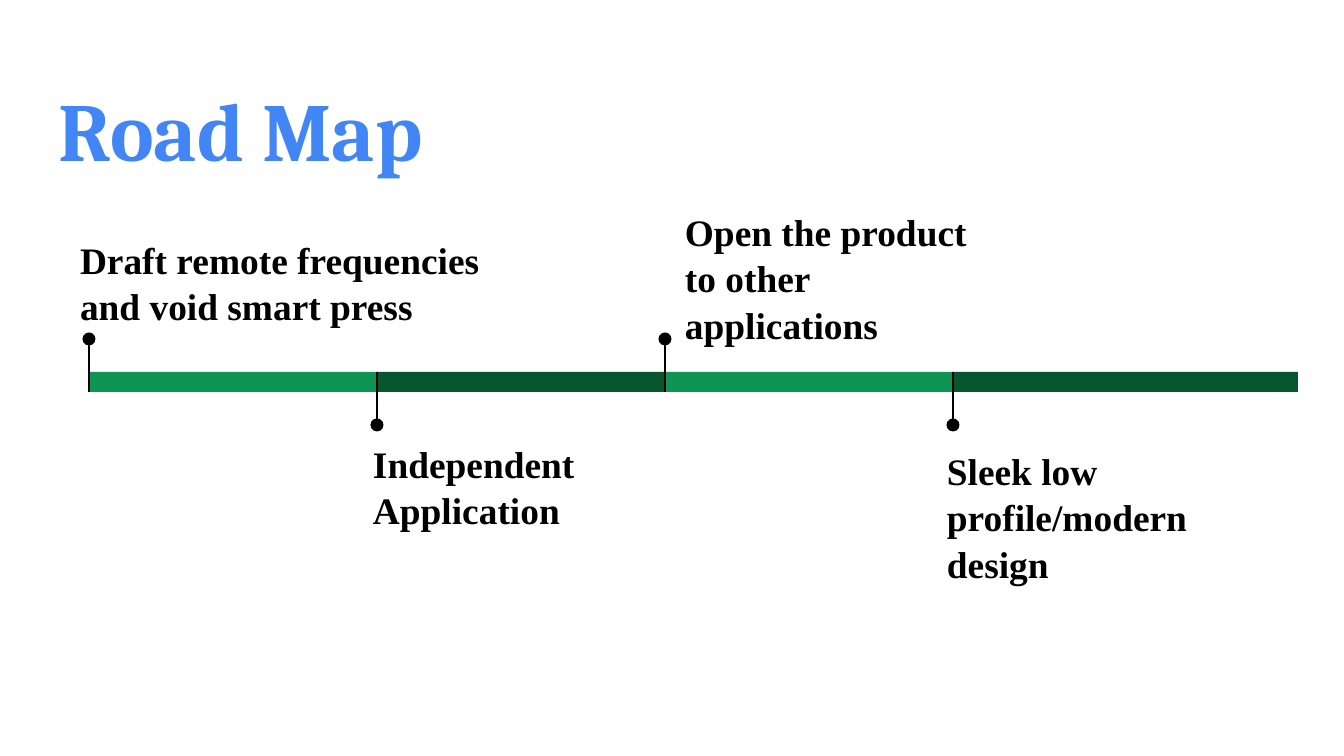
from pptx import Presentation
from pptx.dml.color import RGBColor as Rgb
from pptx.enum.shapes import MSO_SHAPE as Shape, MSO_CONNECTOR as Line
from pptx.util import Emu, Pt
from lxml import etree

# Content: text, left, top, width, top inset of each step
TITLE = "Road Map"
STEPS = [
    ("Draft remote frequencies and void smart press", 67, 222, 457, 13),
    ("Independent Application", 360, 426, 331, 13),
    ("Open the product to other applications", 672, 149, 331, 58),
    ("Sleek low profile/modern design", 934, 433, 331, 13),
]
COLORS = {"title": "4285F4", "light": "0E9453", "dark": "085630", "ink": "000000"}

# Layout in px
WIDE, HIGH = 1344, 756
START, STEP, END = 89, 288, 1298
BAR_TOP, BAR_H = 372, 20
STEM, DOT, INSET = 53, 13, 13
A_NS = "http://schemas.openxmlformats.org/drawingml/2006/main"


def px(n):
    return Emu(round(n * 9144000 / WIDE))


def color(name):
    return Rgb.from_string(COLORS[name])


def add_text(text, left, top, wide, high, inset, font, size, ink, space=1.0):
    box = slide.shapes.add_textbox(px(left), px(top), px(wide), px(high))
    frame = box.text_frame
    frame.word_wrap = True
    frame.margin_left = frame.margin_right = frame.margin_bottom = px(INSET)
    frame.margin_top = px(inset)
    para = frame.paragraphs[0]
    para.line_spacing = space
    run = para.add_run()
    run.text = text
    run.font.name, run.font.size, run.font.bold = font, Pt(size), True
    run.font.color.rgb = color(ink)


def add_solid(kind, left, top, wide, high, fill):
    shape = slide.shapes.add_shape(kind, px(left), px(top), px(wide), px(high))
    shape.shadow.inherit = False
    shape.fill.solid()
    shape.fill.fore_color.rgb = color(fill)
    shape.line.fill.background()


def add_stem(x, start, end):
    stem = slide.shapes.add_connector(Line.STRAIGHT, px(x), px(start), px(x), px(end))
    stem.line.color.rgb = color("ink")
    stem.line.width = Pt(0.75)
    etree.SubElement(stem._element.spPr, f"{{{A_NS}}}effectLst")


deck = Presentation()
deck.slide_width, deck.slide_height = px(WIDE), px(HIGH)
slide = deck.slides.add_slide(deck.slide_layouts[6])

# Title
add_text(TITLE, 46, 66, 1253, 85, INSET, "Cambria", 44.2, "title")

# Timeline: odd steps point up, even steps point down
for i, (text, left, top, wide, inset) in enumerate(STEPS):
    up = i % 2 == 0
    x = START + i * STEP
    right = END if i == len(STEPS) - 1 else x + STEP
    base = BAR_TOP + BAR_H if up else BAR_TOP
    tip = base - STEM if up else base + STEM
    add_solid(Shape.RECTANGLE, x, BAR_TOP, right - x, BAR_H, "light" if up else "dark")
    add_stem(x, tip, base)
    add_solid(Shape.OVAL, x - DOT / 2, tip - DOT / 2, DOT, DOT, "ink")
    add_text(text, left, top, wide, 138, inset, "Times New Roman", 20, "ink", 1.04)

deck.save("out.pptx")
